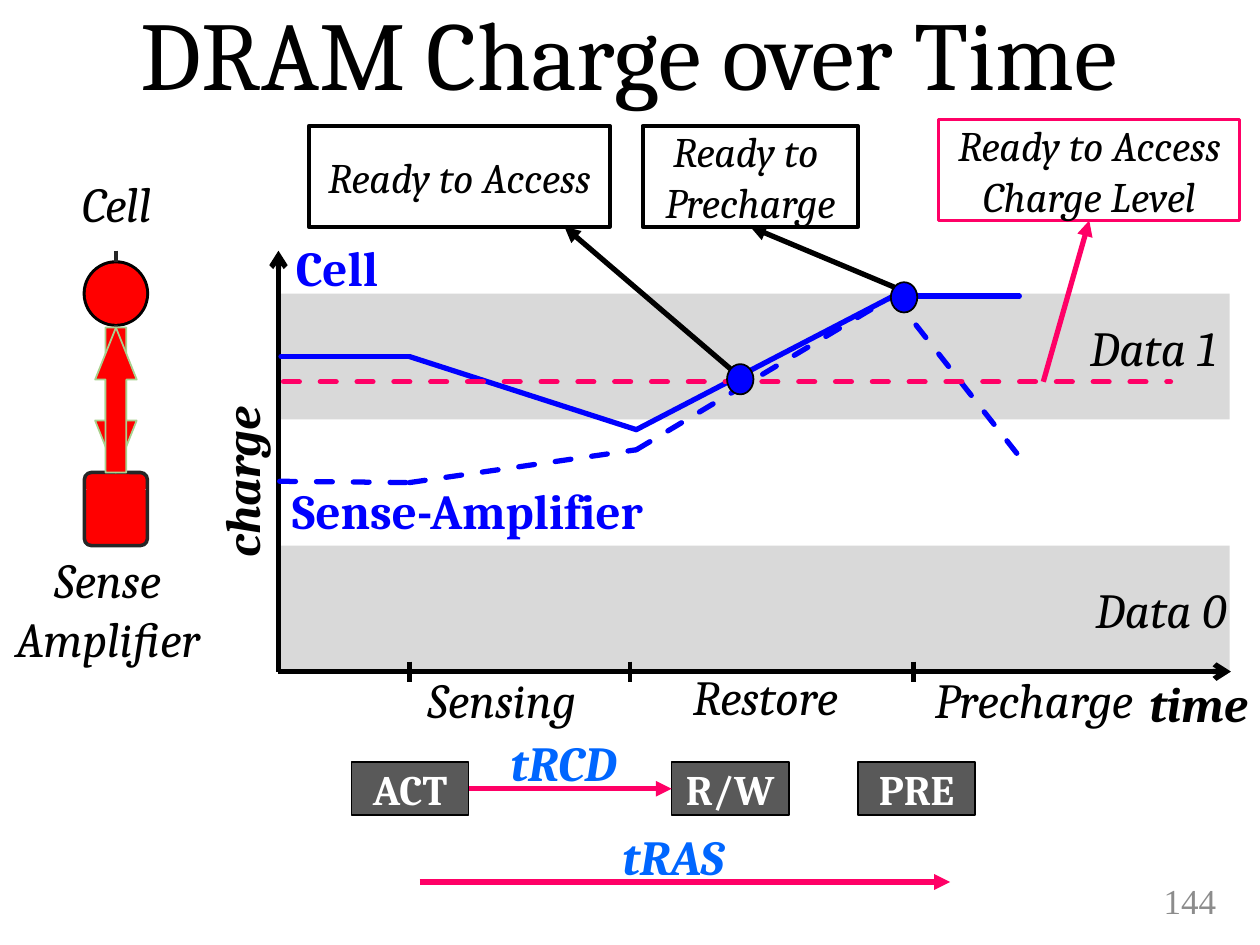
from dataclasses import dataclass
from typing import Any, Optional

from lxml import etree
from pptx import Presentation
from pptx import util as u
from pptx.dml import color
from pptx.enum import dml, shapes, text
from pptx.oxml import ns

BLACK, WHITE, RED, BLUE = "000000", "FFFFFF", "FF0000", "0000FF"
PINK, GRAY, DARK, SKY = "FF0066", "D9D9D9", "262626", "0066FF"
LEFT, CENTER, RIGHT = text.PP_ALIGN.LEFT, text.PP_ALIGN.CENTER, text.PP_ALIGN.RIGHT
KIND = shapes.MSO_SHAPE
BOLD, ITALIC = {"bold": True}, {"italic": True}
BOTH = {**BOLD, **ITALIC}


@dataclass
class Label:
    lines: str
    at: tuple
    style: dict
    align: Any = CENTER
    size: float = 28
    ink: str = BLACK
    face: str = "Cambria"
    rotation: float = 0
    anchor: Any = text.MSO_ANCHOR.MIDDLE
    spacing: Optional[float] = None
    wrap: bool = True


@dataclass
class Block:
    kind: Any
    at: tuple
    fill: Optional[str] = None
    line: Optional[str] = None
    weight: float = 1
    adjustments: tuple = ()
    rotation: float = 0


@dataclass
class Line:
    start: tuple
    end: tuple
    ink: str = BLACK
    weight: float = 3
    dashed: bool = False
    tail: Optional[str] = None
    begin_join: Optional[tuple] = None
    end_join: Optional[tuple] = None


def rgb(value: str) -> color.RGBColor:
    return color.RGBColor.from_string(value)


def inches(values: tuple) -> list:
    return [u.Inches(value) for value in values]


def write(shape, label: Label) -> None:
    frame = shape.text_frame
    frame.text = label.lines
    for name, value in {"word_wrap": label.wrap, "vertical_anchor": label.anchor}.items():
        setattr(frame, name, value)
    font_values = {"name": label.face, "size": u.Pt(label.size), **label.style}
    for paragraph in frame.paragraphs:
        paragraph.alignment = label.align
        paragraph.line_spacing = label.spacing
        for name, value in font_values.items():
            setattr(paragraph.font, name, value)
        paragraph.font.color.rgb = rgb(label.ink)


def draw_label(slide, label: Label) -> None:
    shape = slide.shapes.add_textbox(*inches(label.at))
    shape.rotation = label.rotation
    write(shape, label)


def draw_block(slide, block: Block):
    shape = slide.shapes.add_shape(block.kind, *inches(block.at))
    shape.shadow.inherit = False
    shape.rotation = block.rotation
    for index, value in enumerate(block.adjustments):
        shape.adjustments[index] = value
    if block.fill:
        shape.fill.solid()
        shape.fill.fore_color.rgb = rgb(block.fill)
    else:
        shape.fill.background()
    if block.line:
        shape.line.color.rgb = rgb(block.line)
        shape.line.width = u.Pt(block.weight)
    else:
        shape.line.fill.background()
    return shape


def draw_box(slide, block: Block, label: Label):
    shape = draw_block(slide, block)
    write(shape, label)
    return shape


def draw_line(slide, line: Line) -> None:
    connector = slide.shapes.add_connector(
        shapes.MSO_CONNECTOR.STRAIGHT, *inches(line.start + line.end))
    if line.begin_join:
        connector.begin_connect(*line.begin_join)
    if line.end_join:
        connector.end_connect(*line.end_join)
    connector.line.color.rgb = rgb(line.ink)
    connector.line.width = u.Pt(line.weight)
    outline = connector.line._get_or_add_ln()
    if line.ink == BLUE or line.dashed:
        outline.set("cap", "rnd")
    if line.dashed:
        connector.line.dash_style = dml.MSO_LINE.DASH
    if line.tail:
        etree.SubElement(outline, ns.qn("a:tailEnd"), type=line.tail)
    etree.SubElement(connector._element.spPr, ns.qn("a:effectLst"))


def draw_cell_diagram(slide) -> None:
    for top, height, corner in ((3.89, 0.15, 0), (3.75, 0.15, 0.21), (4.03, 0.29, 0)):
        draw_block(slide, Block(KIND.ROUNDED_RECTANGLE, (0.68, top, 0.48, height), RED,
                                adjustments=(corner,)))
    draw_block(slide, Block(KIND.OVAL, (0.67, 2.08, 0.5, 0.5), WHITE, BLACK, 2))
    amplifier = draw_block(slide, Block(KIND.ROUNDED_RECTANGLE, (0.67, 3.75, 0.5, 0.58),
                                        None, DARK, 2, (0.11,)))
    draw_line(slide, Line((0.92, 3.75), (0.92, 2.58), DARK, 2, begin_join=(amplifier, 0)))
    draw_block(slide, Block(KIND.OVAL, (0.68, 2.09, 0.48, 0.48), RED))
    for rotation in (0, 180):
        draw_block(slide, Block(KIND.DOWN_ARROW, (0.755, 2.6, 0.33, 1.15), RED, "A9D18E", 1,
                                (0.5, 1.25), rotation))
    draw_line(slide, Line((0.92, 1.99), (0.92, 2.08), DARK, 2))
    draw_label(slide, Label("Cell", (0.39, 1.34, 1.07, 0.54), ITALIC))
    draw_label(slide, Label("Sense\nAmplifier", (0, 4.56, 1.71, 0.54), ITALIC, wrap=False))


def draw_chart_area(slide) -> None:
    for top in (4.33, 2.33):
        draw_block(slide, Block(KIND.RECTANGLE, (2.21, top, 7.55, 1), GRAY))
    for label in (
        Label("Data 0", (8.18, 4.33, 1.65, 1), ITALIC, RIGHT),
        Label("Data 1", (8.08, 2.25, 1.67, 1), ITALIC, RIGHT),
        Label("Cell", (2.25, 1.88, 0.9, 0.47), BOLD, LEFT, ink=BLUE),
        Label("Sense-Amplifier", (2.22, 3.81, 3.12, 0.47), BOLD, LEFT, ink=BLUE),
        Label("time", (8.58, 5.33, 1.42, 0.5), BOTH, RIGHT),
        Label("charge", (0.41, 3.58, 3, 0.49), BOTH, rotation=270),
        Label("Sensing", (3.23, 5.34, 1.44, 0.41), ITALIC, RIGHT),
        Label("Restore", (5.31, 5.32, 1.44, 0.41), ITALIC, RIGHT),
        Label("Precharge", (7.14, 5.34, 1.95, 0.41), ITALIC, RIGHT),
    ):
        draw_label(slide, label)
    for end in ((9.77, 5.33), (2.21, 1.99)):
        draw_line(slide, Line((2.21, 5.33), end, tail="arrow"))
    for x in (3.25, 5, 7.25):
        draw_line(slide, Line((x, 5.25), (x, 5.41), weight=2.75))
    cell = ((2.23, 2.83), (3.25, 2.83), (5.05, 3.41), (7.09, 2.35), (8.09, 2.35))
    amplifier = ((2.22, 3.82), (3.25, 3.83), (5.05, 3.57), (7.09, 2.35), (8.15, 3.7))
    for points, dashed in ((amplifier, True), (cell, False)):
        for start, end in zip(points, points[1:]):
            draw_line(slide, Line(start, end, BLUE, dashed=dashed))
    draw_line(slide, Line((2.25, 3.03), (9.29, 3.03), PINK, dashed=True))


def draw_commands(slide) -> None:
    boxes = [draw_box(slide, Block(KIND.RECTANGLE, (left, 6.05, 0.93, 0.42), "595959", BLACK),
                      Label(name, (), BOLD, size=24, ink=WHITE))
             for name, left in (("ACT", 2.79), ("R/W", 5.33), ("PRE", 6.81))]
    draw_line(slide, Line((3.72, 6.26), (5.33, 6.26), PINK, tail="triangle",
                          begin_join=(boxes[0], 3), end_join=(boxes[1], 1)))
    draw_line(slide, Line((3.33, 7), (7.54, 7), PINK, tail="triangle"))
    for name, left, top in (("tRCD", 3.88, 5.84), ("tRAS", 4.75, 6.59)):
        draw_label(slide, Label(name, (left, top, 1.19, 0.41), BOTH, ink=SKY))


def draw_callouts(slide) -> None:
    access, precharge, level = [
        draw_box(slide, Block(KIND.RECTANGLE, at, None, ink, weight),
                 Label(lines, (), ITALIC, size=24))
        for lines, at, ink, weight in (
            ("Ready to Access", (2.45, 1, 2.39, 0.8), BLACK, 2.25),
            ("Ready to \nPrecharge", (5.1, 1, 1.71, 0.8), BLACK, 2.25),
            ("Ready to Access\nCharge Level", (7.45, 0.95, 2.39, 0.8), PINK, 1.5))]
    for left, top in ((5.77, 2.89), (7.07, 2.24)):
        draw_block(slide, Block(KIND.OVAL, (left, top, 0.21, 0.24), BLUE, BLACK))
    draw_line(slide, Line((5.8, 2.93), (4.48, 1.8), tail="triangle"))
    draw_line(slide, Line((7.1, 2.28), (5.96, 1.8), tail="triangle", end_join=(precharge, 2)))
    draw_line(slide, Line((8.28, 3.03), (8.65, 1.75), PINK, tail="triangle",
                          end_join=(level, 2)))


def main() -> None:
    """Build the DRAM charge slide and save it."""
    presentation = Presentation()
    presentation.slide_width, presentation.slide_height = inches((10, 7.5))
    slide = presentation.slides.add_slide(presentation.slide_layouts[6])
    draw_label(slide, Label("DRAM Charge over Time", (0.41, 0.07, 9.17, 0.83), {}, size=55.5,
                            anchor=text.MSO_ANCHOR.BOTTOM, spacing=0.7))
    draw_label(slide, Label("144", (9, 6.95, 0.75, 0.4), {}, RIGHT, 20, "8C8C8C",
                            "Times New Roman"))
    for draw in (draw_cell_diagram, draw_chart_area, draw_commands, draw_callouts):
        draw(slide)
    presentation.save("out.pptx")


if __name__ == "__main__":
    main()
